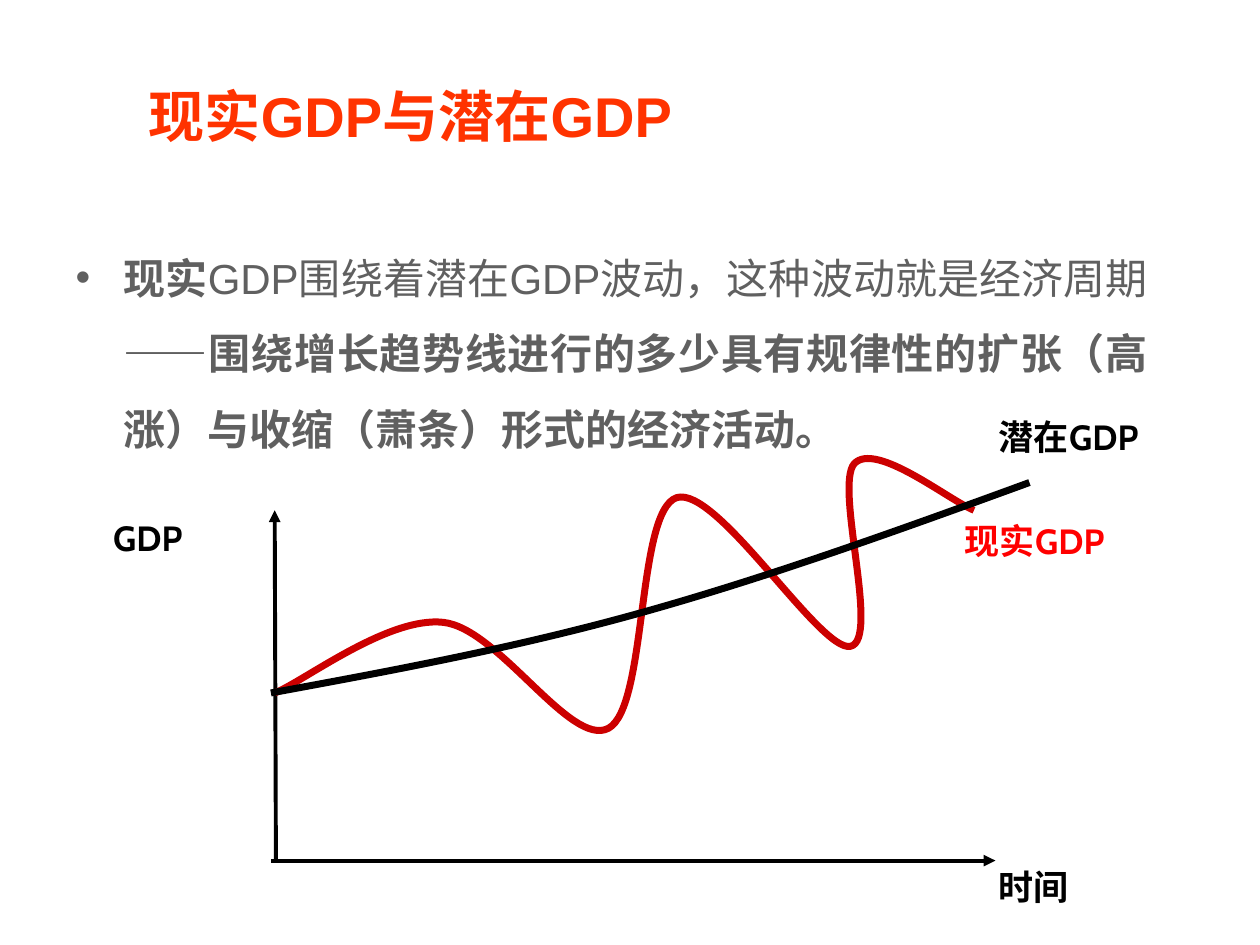
from dataclasses import dataclass

from lxml.etree import SubElement
from pptx import Presentation
from pptx.dml.color import RGBColor
from pptx.enum.shapes import MSO_CONNECTOR
from pptx.enum.text import MSO_ANCHOR, MSO_AUTO_SIZE, PP_ALIGN
from pptx.oxml.ns import qn
from pptx.util import Emu, Inches, Pt

COLORS = {
    "title": "FF3300",
    "body": "606060",
    "ink": "000000",
    "actual": "CC0000",
    "actual_label": "FF0000",
}

# The slide is a grid of 100 columns by 75 rows
COLUMNS, ROWS = 100, 75
CELL = Inches(0.1)

Point = tuple[float, float]


@dataclass(frozen=True)
class Label:
    text: str
    column: float
    row: float
    width: float
    color: str = "ink"


@dataclass(frozen=True)
class Axis:
    start: Point
    end: Point


@dataclass(frozen=True)
class Curve:
    """Start point followed by three Bezier points per segment."""
    points: tuple[Point, ...]
    color: str
    label: Label


AXIS_LABELS = (
    Label("GDP", 8, 40.5, 10),
    Label("时间", 78.3, 68.2, 10.8),
)

AXES = (
    Axis((21.5, 68.3), (79, 68.3)),
    Axis((21.9, 68.2), (21.8, 40.5)),
)

ACTUAL_GDP = Curve((
    (21.8, 55),
    (24.1, 54.1), (30.8, 48.9), (35.2, 49.4),
    (39.6, 49.9), (45.3, 59.4), (48.3, 57.8),
    (51.4, 56.1), (50.5, 40.6), (53.7, 39.5),
    (56.9, 38.5), (65.1, 51.8), (67.5, 51.3),
    (69.9, 50.8), (66.2, 38.6), (67.8, 36.8),
    (69.5, 35), (75.3, 39.7), (77.3, 40.5),
), "actual", Label("现实GDP", 75.6, 40.7, 17.5, "actual_label"))

POTENTIAL_GDP = Curve((
    (21.5, 55),
    (31.3, 53.2), (41, 51.4), (51, 48.6),
    (61, 45.8), (71.3, 42.1), (81.7, 38.3),
), "ink", Label("潜在GDP", 78.3, 32.5, 17.5))

BODY_RUNS = (
    ("现实", True),
    ("GDP围绕着潜在GDP波动，这种波动就是经济周期", False),
    ("——围绕增长趋势线进行的多少具有规律性的扩张（高涨）与收缩（萧条）形式的经济活动。", True),
)


def cells(*counts: float) -> list[Emu]:
    return [Emu(round(count * CELL)) for count in counts]


def rgb(name: str) -> RGBColor:
    return RGBColor.from_string(COLORS[name])


def place(shape, column: float, row: float, width: float, height: float) -> None:
    shape.left, shape.top, shape.width, shape.height = cells(column, row, width, height)


def set_font(paragraph, name: str, size: float, color: str) -> None:
    font = paragraph.font
    font.name, font.size = name, Pt(size)
    font.color.rgb = rgb(color)


def set_line(shape, color: str, width: float) -> None:
    shape.line.color.rgb = rgb(color)
    shape.line.width = Pt(width)


def fill_title(title) -> None:
    place(title, 10.8, 3.3, 84.2, 11.7)
    frame = title.text_frame
    frame.text = "现实GDP与潜在GDP"
    frame.vertical_anchor = MSO_ANCHOR.MIDDLE
    frame.auto_size = MSO_AUTO_SIZE.NONE
    heading = frame.paragraphs[0]
    heading.alignment = PP_ALIGN.LEFT
    set_font(heading, "Arial", 32, "title")
    heading.font.bold = True


def fill_body(body) -> None:
    place(body, 5, 17.5, 87.1, 20)
    frame = body.text_frame
    frame.auto_size = MSO_AUTO_SIZE.NONE
    definition = frame.paragraphs[0]
    definition.alignment = PP_ALIGN.JUSTIFY
    definition.line_spacing = 1.5
    definition.space_before, definition.space_after = Pt(0), Pt(12)

    # Hanging bullet
    properties = definition._p.get_or_add_pPr()
    properties.set("marL", str(Inches(0.38)))
    properties.set("indent", str(-Inches(0.38)))
    bullet_color = SubElement(properties, qn("a:buClr"))
    SubElement(bullet_color, qn("a:srgbClr"), val=COLORS["body"])
    SubElement(properties, qn("a:buChar"), char="•")

    set_font(definition, "Arial", 24, "body")
    for text, bold in BODY_RUNS:
        run = definition.add_run()
        run.text, run.font.bold = text, bold


def add_axis(shapes, axis: Axis) -> None:
    arrow = shapes.add_connector(MSO_CONNECTOR.STRAIGHT, *cells(*axis.start, *axis.end))
    set_line(arrow, "ink", 2.25)
    SubElement(arrow.line._get_or_add_ln(), qn("a:tailEnd"), type="triangle")
    SubElement(arrow._element.spPr, qn("a:effectLst"))


def round_segments(outline) -> None:
    """Turn every three straight segments into one cubic Bezier segment."""
    corners = list(outline._element.iter(qn("a:lnTo")))
    for first in range(0, len(corners), 3):
        trio = corners[first:first + 3]
        bezier = SubElement(trio[0].getparent(), qn("a:cubicBezTo"))
        for corner in trio:
            bezier.append(corner[0])
            corner.getparent().remove(corner)


def add_label(shapes, label: Label) -> None:
    box = shapes.add_textbox(*cells(label.column, label.row, label.width, 4.4))
    frame = box.text_frame
    frame.word_wrap = True
    frame.auto_size = MSO_AUTO_SIZE.SHAPE_TO_FIT_TEXT
    frame.text = label.text
    caption = frame.paragraphs[0]
    set_font(caption, "Cabin", 20, label.color)
    caption.font.bold = True


def add_curve(shapes, curve: Curve) -> None:
    """Group a curve with its label."""
    members = shapes.add_group_shape().shapes
    start, *others = (cells(*point) for point in curve.points)
    builder = members.build_freeform(*start)
    builder.add_line_segments(others, close=False)
    outline = builder.convert_to_shape()
    round_segments(outline)
    outline.shadow.inherit = False
    outline.fill.background()
    set_line(outline, curve.color, 4)
    add_label(members, curve.label)


def main() -> None:
    deck = Presentation()
    deck.slide_width, deck.slide_height = cells(COLUMNS, ROWS)
    slide = deck.slides.add_slide(deck.slide_layouts[1])
    shapes = slide.shapes

    # Heading and definition
    fill_title(shapes.title)
    fill_body(slide.placeholders[1])

    # Business cycle diagram
    for axis in AXES:
        add_axis(shapes, axis)
    add_curve(shapes, ACTUAL_GDP)
    for label in AXIS_LABELS:
        add_label(shapes, label)
    add_curve(shapes, POTENTIAL_GDP)

    deck.save("out.pptx")


if __name__ == "__main__":
    main()
